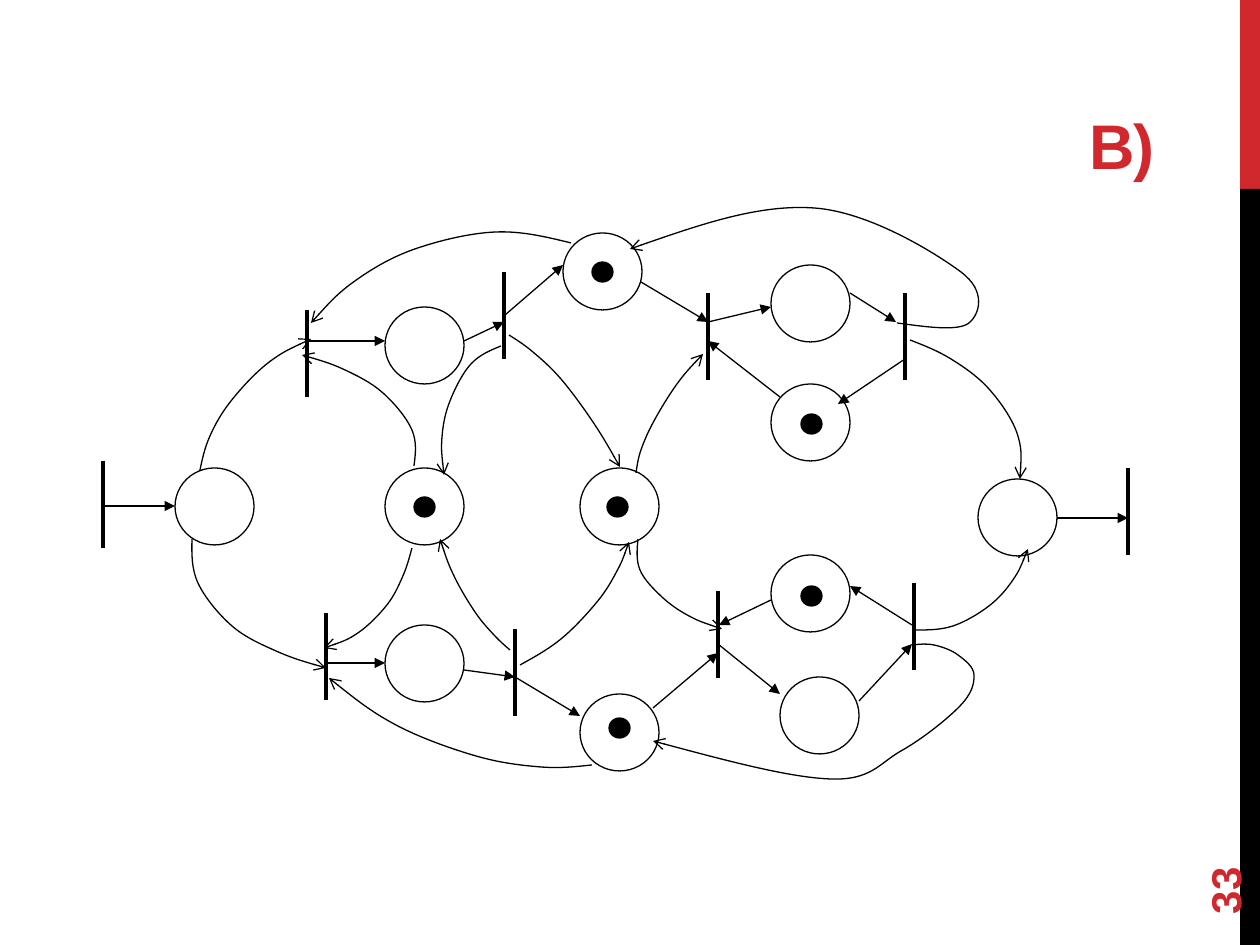
from lxml import etree
from pptx import Presentation
from pptx import util as u
from pptx.dml.color import RGBColor
from pptx.enum import shapes, text
from pptx.oxml import ns

PX = u.Inches(1) / 126
RED = RGBColor(0xD1, 0x28, 0x2E)
BLACK = RGBColor(0, 0, 0)
WHITE = RGBColor(255, 255, 255)


def emu(*lengths):
    return [u.Emu(round(length * PX)) for length in lengths]


def draw_line(shape, width=0.75, arrowhead=None):
    shape.line.color.rgb = BLACK
    shape.line.width = u.Pt(width)
    properties = shape._element.spPr
    if arrowhead:
        line = properties.find(ns.qn("a:ln"))
        etree.SubElement(line, ns.qn("a:tailEnd"), type=arrowhead)
    if properties.find(ns.qn("a:effectLst")) is None:
        etree.SubElement(properties, ns.qn("a:effectLst"))


presentation = Presentation()
presentation.slide_width, presentation.slide_height = emu(1260, 945)
slide = presentation.slides.add_slide(presentation.slide_layouts[6])

# Side band
for top, height, color in [(0, 189, RED), (189, 756, BLACK)]:
    band = slide.shapes.add_shape(shapes.MSO_SHAPE.RECTANGLE, *emu(1240, top, 20, height))
    band.shadow.inherit = False
    band.fill.solid()
    band.fill.fore_color.rgb = color
    band.line.fill.background()

# Title and slide number
labels = [
    ("В)", (64, 83, 1103, 105), 36, text.PP_ALIGN.RIGHT, text.MSO_ANCHOR.BOTTOM, 0, -60),
    ("33", (1134, 811, 181, 50), 24, text.PP_ALIGN.LEFT, text.MSO_ANCHOR.MIDDLE, 270, 0),
]
for wording, box, size, alignment, anchor, rotation, spacing in labels:
    label = slide.shapes.add_textbox(*emu(*box))
    label.rotation = rotation
    label.text_frame.word_wrap = True
    label.text_frame.vertical_anchor = anchor
    paragraph = label.text_frame.paragraphs[0]
    paragraph.alignment = alignment
    run = paragraph.add_run()
    run.text = wording
    run.font.name = "Arial"
    run.font.size = u.Pt(size)
    run.font.bold = True
    run.font.color.rgb = RED
    if spacing:
        run.font._element.set("spc", str(spacing))

# Places
places = [
    (175, 468), (580, 468), (385, 307), (563, 233), (385, 468), (385, 625),
    (580, 694), (771, 265), (771, 384), (771, 555), (780, 677), (978, 479),
]
for left, top in places:
    place = slide.shapes.add_shape(shapes.MSO_SHAPE.OVAL, *emu(left, top, 79, 77))
    place.shadow.inherit = False
    place.fill.solid()
    place.fill.fore_color.rgb = WHITE
    draw_line(place)

# Transitions
transitions = [
    (103, 461), (307, 310), (326, 613), (1128, 468), (515, 629),
    (504, 272), (708, 293), (718, 591), (905, 293), (914, 583),
]
for x, top in transitions:
    transition = slide.shapes.add_connector(
        shapes.MSO_CONNECTOR.STRAIGHT, *emu(x, top, x, top + 87))
    draw_line(transition, 2.25)

# Straight arcs
straight_arcs = [
    (103, 506, 175, 506), (1057, 518, 1128, 518), (307, 341, 385, 341),
    (326, 663, 385, 663), (464, 670, 515, 677), (464, 341, 504, 322),
    (641, 282, 708, 322), (708, 322, 771, 307), (850, 293, 896, 322),
    (905, 359, 838, 404), (780, 397, 708, 341), (505, 315, 563, 265),
    (912, 625, 850, 586), (859, 701, 912, 644), (771, 600, 719, 625),
    (718, 644, 780, 694), (653, 708, 718, 653), (515, 677, 580, 716),
]
for ends in straight_arcs:
    arc = slide.shapes.add_connector(shapes.MSO_CONNECTOR.STRAIGHT, *emu(*ends))
    draw_line(arc, arrowhead="triangle")

# Curved arcs, as smooth splines through these points
curved_arcs = [
    [(501, 346), (471, 364), (450, 401), (442, 437), (444, 475)],
    [(520, 665), (561, 639), (597, 602), (617, 571), (629, 542)],
    [(192, 539), (198, 583), (232, 626), (276, 651), (326, 668)],
    [(510, 650), (494, 635), (475, 612), (454, 576), (440, 539)],
    [(916, 630), (953, 626), (989, 606), (1013, 580), (1028, 549)],
    [(571, 243), (496, 232), (415, 249), (355, 281), (311, 323)],
    [(200, 470), (210, 436), (231, 401), (268, 363), (311, 339)],
    [(638, 539), (640, 570), (662, 597), (689, 616), (722, 629)],
    [(414, 466), (412, 430), (383, 393), (345, 370), (302, 355)],
    [(636, 473), (641, 450), (654, 421), (677, 384), (703, 354)],
    [(412, 548), (403, 576), (387, 605), (358, 633), (324, 648)],
    [(509, 335), (533, 352), (561, 379), (593, 422), (620, 467)],
    [(592, 765), (541, 767), (476, 756), (396, 725), (329, 678)],
    [(910, 340), (951, 359), (989, 389), (1017, 433), (1020, 479)],
    [(897, 323), (969, 323), (961, 272), (814, 208), (630, 249)],
    [(912, 645), (934, 645), (958, 655), (974, 675), (960, 706), (901, 751),
     (830, 779), (653, 741)],
]
for arc_points in curved_arcs:
    points = [emu(*point) for point in arc_points]
    builder = slide.shapes.build_freeform(*points[0])
    builder.add_line_segments(points[1:], close=False)
    arc = builder.convert_to_shape()
    arc.shadow.inherit = False
    arc.fill.background()
    draw_line(arc, arrowhead="arrow")

    # Tangent at an inner point is parallel to the chord of its neighbours
    tangents = [[(b - a) / 6 for a, b in zip(before, after)]
                for before, after in zip(points, points[2:])]
    entries = [[p - t for p, t in zip(*pair)] for pair in zip(points[1:], tangents)]
    exits = [[p + t for p, t in zip(*pair)] for pair in zip(points[1:], tangents)]
    exits.insert(0, [(a + b) / 2 for a, b in zip(points[0], entries[0])])
    entries.append([(a + b) / 2 for a, b in zip(points[-1], exits[-1])])

    segments = list(arc._element.iter(ns.qn("a:lnTo")))
    for segment, *controls in zip(segments, exits, entries, points[1:]):
        curve = etree.Element(ns.qn("a:cubicBezTo"))
        for x, y in controls:
            etree.SubElement(curve, ns.qn("a:pt"),
                             x=str(round(x - arc.left)), y=str(round(y - arc.top)))
        segment.getparent().replace(segment, curve)

# Tokens
tokens = [(801, 414), (801, 586), (609, 718), (592, 262), (607, 497), (414, 497)]
for left, top in tokens:
    token = slide.shapes.add_shape(shapes.MSO_SHAPE.OVAL, *emu(left, top, 21, 20))
    token.shadow.inherit = False
    token.fill.solid()
    token.fill.fore_color.rgb = BLACK
    draw_line(token)

presentation.save("out.pptx")
